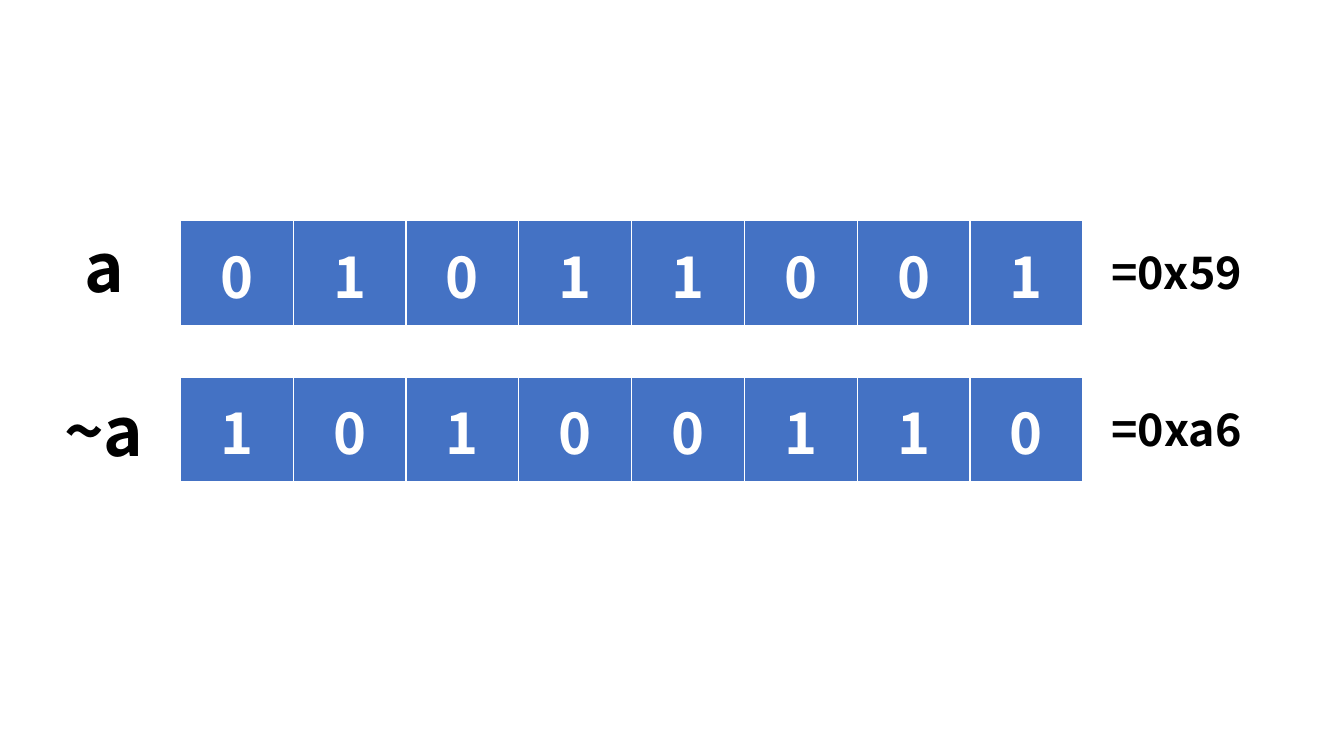
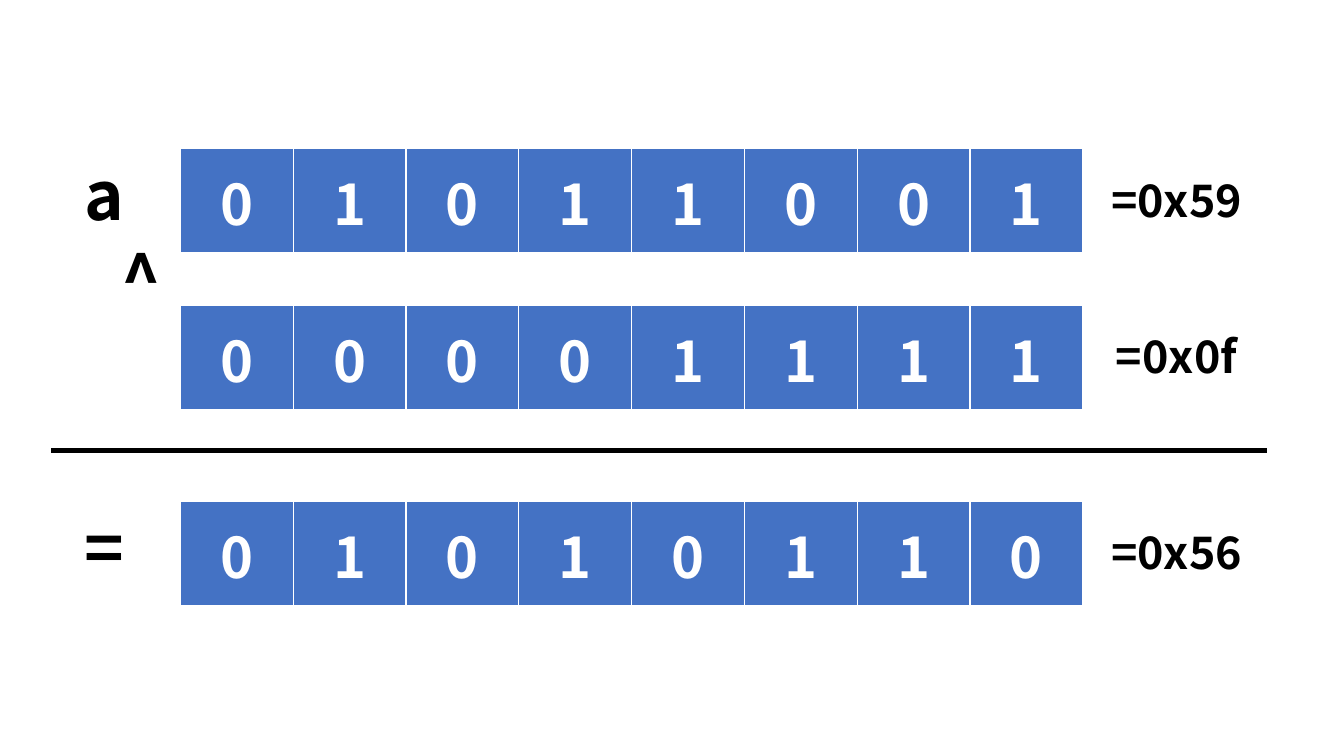
from lxml.etree import SubElement as Sub
from pptx import Presentation
from pptx.dml.color import RGBColor as RGB
from pptx.enum.shapes import MSO_CONNECTOR as LINK
from pptx.enum.text import MSO_ANCHOR as ANCHOR
from pptx.enum.text import MSO_AUTO_SIZE as FIT
from pptx.enum.text import PP_ALIGN as ALIGN
from pptx.oxml.ns import qn
from pptx.util import Inches, Pt

FONT = "Noto Sans CJK KR"
BLUE, WHITE, BLACK = "4472C4", "FFFFFF", "000000"
WIDE, HIGH = 13.33, 7.5
LEFT, SPAN, TALL = 1.79, 8.95, 1.05  # the band of bits
STEP = 1.555  # from one band to the next
NAME_X, SIGN_X, HEX_X = 1.03, 1.4, 11.67  # text centres
BIG, MID, SMALL = 48, 40, 32
SIDES = {"L": 1, "R": 1, "T": 1, "B": 3}  # border widths in points


def paint(color, code):
    """Set a colour format from a hex string."""
    color.rgb = RGB.from_string(code)


def write(frame, text, size, code):
    """Add one bold, centred run to a text frame."""
    para = frame.paragraphs[0]
    para.alignment = ALIGN.CENTER
    run = para.add_run()
    run.text = text
    run.font.name, run.font.size, run.font.bold = FONT, Pt(size), True
    paint(run.font.color, code)


def edge(cell):
    """Draw the white borders of a cell."""
    props = cell._tc.get_or_add_tcPr()
    for side, width in SIDES.items():
        line = Sub(props, qn(f"a:ln{side}"), w=str(Pt(width)))
        fill = Sub(line, qn("a:solidFill"))
        Sub(fill, qn("a:srgbClr"), val=WHITE)


def band(slide, top, bits):
    """Add a one-row table with a cell for each bit."""
    frame = slide.shapes.add_table(1, len(bits), Inches(LEFT), Inches(top),
                                   Inches(SPAN), Inches(TALL))
    table = frame.table
    table.horz_banding = False
    for cell, bit in zip(table.iter_cells(), bits):
        edge(cell)
        cell.fill.solid()
        paint(cell.fill.fore_color, BLUE)
        cell.vertical_anchor = ANCHOR.MIDDLE
        cell.margin_left = cell.margin_right = Inches(0.14)
        cell.margin_top = cell.margin_bottom = Inches(0.07)
        write(cell.text_frame, bit, MID, WHITE)


def label(slide, mid, top, width, text, size):
    """Add a text box centred on a given x."""
    box = slide.shapes.add_textbox(Inches(mid - width / 2), Inches(top),
                                   Inches(width), Inches(size * 0.019))
    frame = box.text_frame
    frame.word_wrap = False
    frame.auto_size = FIT.SHAPE_TO_FIT_TEXT
    write(frame, text, size, BLACK)


def byte(slide, top, value):
    """Add a byte as a band of bits with its hex form."""
    band(slide, top, f"{value:08b}")
    label(slide, HEX_X, top + 0.19, 1.54, f"=0x{value:02x}", SMALL)


def rule(slide, y):
    """Draw the line above the result."""
    line = slide.shapes.add_connector(
        LINK.STRAIGHT, Inches(0.51), Inches(y), Inches(12.57), Inches(y))
    line.line.width = Pt(3)
    paint(line.line.color, BLACK)
    Sub(line._element.spPr, qn("a:effectLst"))


def invert(slide):
    """Show a byte and its complement."""
    top = 2.19
    byte(slide, top, 0x59)
    label(slide, NAME_X, top, 0.57, "a", BIG)
    byte(slide, top + STEP, 0xA6)
    label(slide, NAME_X, top + STEP + 0.07, 1.05, "~a", BIG)


def xor(slide):
    """Show two bytes and their exclusive or."""
    top, last = 1.47, 4.97
    byte(slide, top, 0x59)
    label(slide, NAME_X, top, 0.57, "a", BIG)
    label(slide, SIGN_X, top + 0.84, 0.69, "^", BIG)
    byte(slide, top + STEP, 0x0F)
    rule(slide, last - 0.5)
    byte(slide, last, 0x56)
    label(slide, NAME_X, last, 0.69, "=", BIG)


def main():
    """Build and save the deck."""
    deck = Presentation()
    deck.slide_width, deck.slide_height = Inches(WIDE), Inches(HIGH)
    blank = deck.slide_layouts[6]
    for draw in (invert, xor):
        draw(deck.slides.add_slide(blank))
    deck.save("out.pptx")


main()
